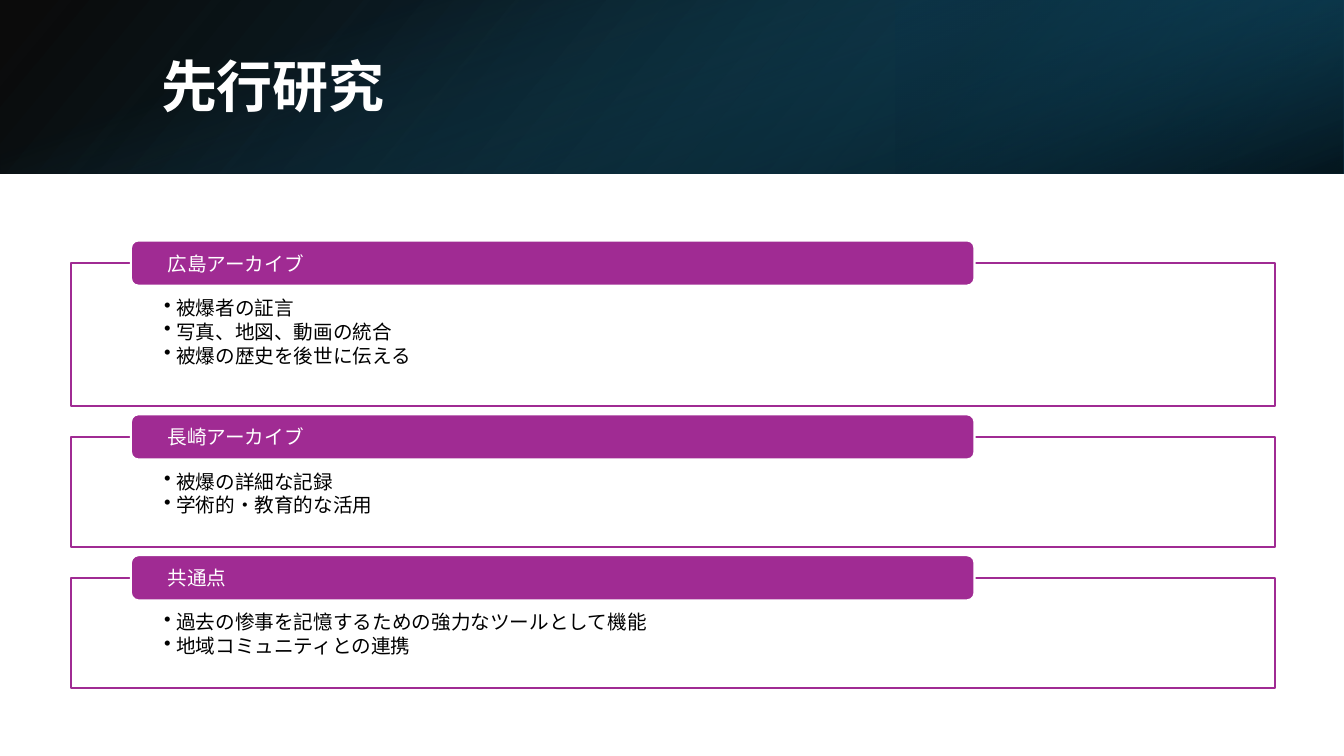
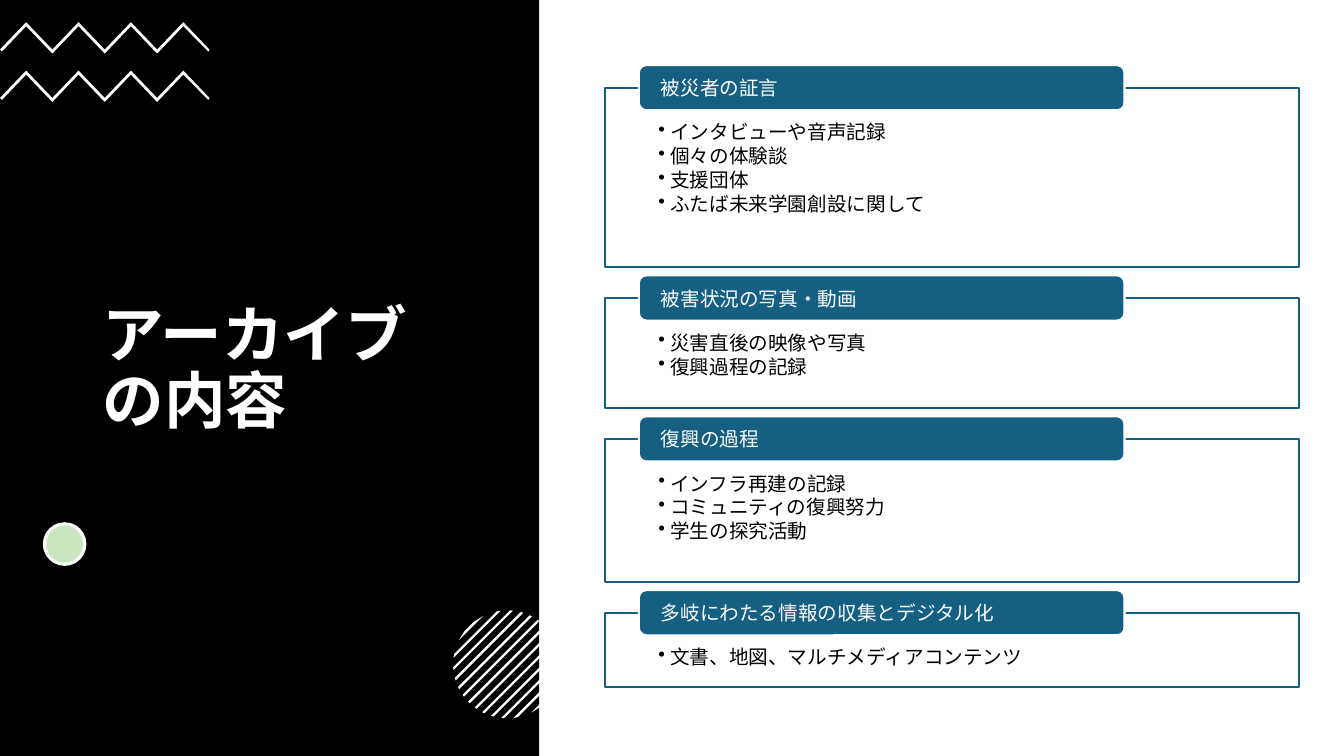
from math import sqrt

from lxml import etree
from pptx import Presentation
from pptx.dml.color import RGBColor
from pptx.enum.shapes import MSO_SHAPE
from pptx.enum.text import MSO_ANCHOR, PP_ALIGN
from pptx.oxml.ns import qn
from pptx.util import Cm, Pt

RECTANGLE = MSO_SHAPE.RECTANGLE
ROUNDED = MSO_SHAPE.ROUNDED_RECTANGLE
OVAL = MSO_SHAPE.OVAL
MIDDLE, TOP = MSO_ANCHOR.MIDDLE, MSO_ANCHOR.TOP
LEFT = PP_ALIGN.LEFT

FONT = "Noto Sans CJK JP"
COLORS = {
    "black": "000000", "white": "FFFFFF", "purple": "A02B93", "blue": "156082",
    "deep_blue": "104862", "night_blue": "0B3041", "pale_green": "CAE5C0",
}
SLIDE_WIDTH, SLIDE_HEIGHT = 33.87, 19.05
BAND_HEIGHT, PANEL_WIDTH = 4.37, 13.59

# Section list: frame height by number of bullets, and the label on its top edge
FRAME_HEIGHTS = {1: 1.88, 2: 2.77, 3: 3.6, 4: 4.52}
FRAME_GAP = 0.78
LABEL_HEIGHT = 1.14


def paint(shape, fill, line=None, width=1.5):
    shape.shadow.inherit = False
    shape.fill.solid()
    shape.fill.fore_color.rgb = RGBColor.from_string(COLORS[fill])
    if line:
        shape.line.color.rgb = RGBColor.from_string(COLORS[line])
        shape.line.width = Pt(width)
    else:
        shape.line.fill.background()


def write(box, lines, size=14, color="black", bold=False, spacing=17.1,
          anchor=MIDDLE, side=0.25, top=0, bullet=False):
    frame = box.text_frame
    frame.word_wrap = True
    frame.vertical_anchor = anchor
    frame.margin_left = frame.margin_right = Cm(side)
    frame.margin_top, frame.margin_bottom = Cm(top), 0
    for index, line in enumerate(lines):
        para = frame.add_paragraph() if index else frame.paragraphs[0]
        para.alignment = LEFT
        para.line_spacing = Pt(spacing)
        span = para.add_run()
        span.text = line
        span.font.name = FONT
        span.font.size = Pt(size)
        span.font.bold = bold
        span.font.color.rgb = RGBColor.from_string(COLORS[color])
        etree.SubElement(span.font._element, qn("a:ea"), typeface=FONT)
        if bullet:
            properties = para._p.get_or_add_pPr()
            properties.set("marL", str(Cm(0.3)))
            properties.set("indent", str(-Cm(0.3)))
            etree.SubElement(properties, qn("a:buChar"), char="•")


deck = Presentation()
deck.slide_width, deck.slide_height = Cm(SLIDE_WIDTH), Cm(SLIDE_HEIGHT)
blank = deck.slide_layouts[6]
research_page = deck.slides.add_slide(blank)
contents_page = deck.slides.add_slide(blank)

# Title band of layered gradients: box, rotation, flip, angle, (position, colour, opacity)
band_layers = [
    ((0, 0, SLIDE_WIDTH, BAND_HEIGHT), 0, True, 140,
     [(0, "black", 96), (100, "deep_blue", 100)]),
    ((22.58, 0, 11.29, BAND_HEIGHT), 180, True, 320,
     [(19, "night_blue", 68), (100, "blue", 79)]),
    (((SLIDE_WIDTH - BAND_HEIGHT) / 2, (BAND_HEIGHT - SLIDE_WIDTH) / 2,
      BAND_HEIGHT, SLIDE_WIDTH), 90, False, 340,
     [(23, "blue", 0), (99, "black", 74)]),
]
# The first layer is opaque at its blue end
for place, rotation, flipped, angle, stops in band_layers:
    layer = research_page.shapes.add_shape(RECTANGLE, *map(Cm, place))
    layer.shadow.inherit = False
    layer.line.fill.background()
    layer.rotation = rotation
    if flipped:
        layer._element.spPr.find(qn("a:xfrm")).set("flipH", "1")
    layer.fill.gradient()
    layer.fill.gradient_angle = 360 - angle
    for stop, (position, color, opacity) in zip(layer.fill.gradient_stops, stops):
        stop.position = position / 100
        stop.color.rgb = RGBColor.from_string(COLORS[color])
    gradient = layer._element.spPr.find(qn("a:gradFill"))
    for tint, (position, color, opacity) in zip(gradient.iter(qn("a:srgbClr")), stops):
        etree.SubElement(tint, qn("a:alpha"), val=str(opacity * 1000))

# Black side panel
panel = contents_page.shapes.add_shape(RECTANGLE, 0, 0, Cm(PANEL_WIDTH), Cm(SLIDE_HEIGHT))
paint(panel, "black")

# Two zigzag lines, each a thin closed outline
outlines = []
for zigzag_top in (0.56, 1.78):
    upper = [(0.66 * i, zigzag_top + (0 if i % 2 else 0.69)) for i in range(9)]
    lower = [(x, y + 0.1) for x, y in upper[1:-1]]
    end_y = upper[0][1] + 0.05
    outlines.append(upper + [(5.25, end_y)] + lower[::-1] + [(0.05, end_y)])

# Hatched disc: diagonal stripes cut off at the circle
center_x, center_y, radius = 12.78, 16.74, 1.36
for k in range(-6, 7):
    stripe = []
    for offset, ends in ((k * 0.22 - 0.03, (-1, 1)), (k * 0.22 + 0.03, (1, -1))):
        half = sqrt(radius ** 2 - offset ** 2)
        for end in ends:
            stripe.append((center_x + (offset + end * half) / sqrt(2),
                           center_y + (offset - end * half) / sqrt(2)))
    outlines.append(stripe)

for outline in outlines:
    points = [(Cm(x), Cm(y)) for x, y in outline]
    builder = contents_page.shapes.build_freeform(*points[0])
    builder.add_line_segments(points[1:], close=True)
    paint(builder.convert_to_shape(), "white")

# Green dot
dot = contents_page.shapes.add_shape(OVAL, Cm(1.12), Cm(13.2), Cm(1.02), Cm(1.02))
paint(dot, "pale_green", "white", 2.25)

# Titles
titles = [
    (research_page, "先行研究", (3.81, 0.97, 27.69, 2.44), 40, 46),
    (contents_page, "アーカイブの内容", (2.34, 3.45, 8.89, 11.76), 44, 47),
]
for page, title, place, size, spacing in titles:
    box = page.shapes.add_textbox(*map(Cm, place))
    write(box, [title], size=size, color="white", bold=True, spacing=spacing)

# Framed sections with a label on the top edge
section_lists = [
    dict(page=research_page, color="purple", top=6.63, left=1.78, width=30.35,
         label_left=3.3, label_width=21.26, side=2.36, label_side=0.87,
         sections=[
             ("広島アーカイブ",
              ["被爆者の証言", "写真、地図、動画の統合", "被爆の歴史を後世に伝える"]),
             ("長崎アーカイブ", ["被爆の詳細な記録", "学術的・教育的な活用"]),
             ("共通点",
              ["過去の惨事を記憶するための強力なツールとして機能",
               "地域コミュニティとの連携"]),
         ]),
    dict(page=contents_page, color="blue", top=2.21, left=15.24, width=17.5,
         label_left=16.1, label_width=12.24, side=1.35, label_side=0.5,
         sections=[
             ("被災者の証言",
              ["インタビューや音声記録", "個々の体験談", "支援団体",
               "ふたば未来学園創設に関して"]),
             ("被害状況の写真・動画", ["災害直後の映像や写真", "復興過程の記録"]),
             ("復興の過程",
              ["インフラ再建の記録", "コミュニティの復興努力", "学生の探究活動"]),
             ("多岐にわたる情報の収集とデジタル化",
              ["文書、地図、マルチメディアコンテンツ"]),
         ]),
]
for group in section_lists:
    shapes, top = group["page"].shapes, group["top"]
    for heading, bullets in group["sections"]:
        height = FRAME_HEIGHTS[len(bullets)]
        section = shapes.add_shape(RECTANGLE, Cm(group["left"]), Cm(top),
                                   Cm(group["width"]), Cm(height))
        paint(section, "white", group["color"])
        write(section, bullets, anchor=TOP, side=group["side"], top=0.81, bullet=True)
        label = shapes.add_shape(ROUNDED, Cm(group["label_left"]),
                                 Cm(top - LABEL_HEIGHT / 2),
                                 Cm(group["label_width"]), Cm(LABEL_HEIGHT))
        paint(label, group["color"], "white")
        write(label, [heading], color="white", side=group["label_side"])
        top += height + FRAME_GAP

deck.save("out.pptx")
